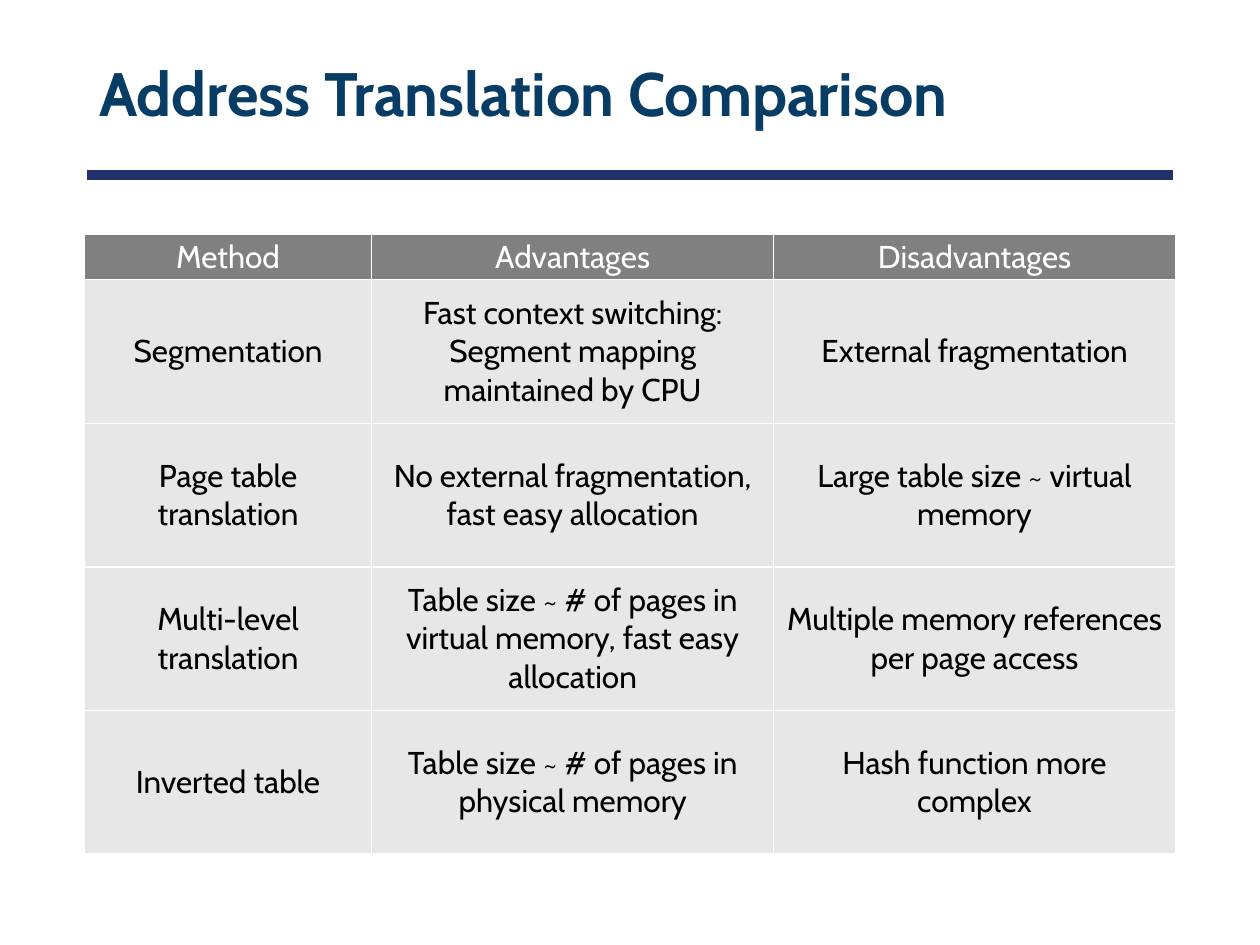
from lxml import etree
from pptx import Presentation
from pptx import util as u
from pptx.dml.color import RGBColor
from pptx.enum import shapes, text
from pptx.oxml.ns import qn

FONT = "Cabin"
COLORS = {
    "title": "073C65",
    "rule": "21306A",
    "header": "808080",
    "body": "E7E7E7",
    "white": "FFFFFF",
    "black": "000000",
}
COLUMN_WIDTHS = [2.28, 3.19, 3.19]
HEADER_HEIGHT = 0.36
ROW_HEIGHT = 1.14
ROWS = [
    ["Method", "Advantages", "Disadvantages"],
    ["Segmentation",
     "Fast context switching: Segment mapping maintained by CPU",
     "External fragmentation"],
    ["Page table translation",
     "No external fragmentation, fast easy allocation",
     "Large table size ~ virtual memory"],
    ["Multi-level translation",
     "Table size ~ # of pages in virtual memory, fast easy allocation",
     "Multiple memory references per page access"],
    ["Inverted table",
     "Table size ~ # of pages in physical memory",
     "Hash function more complex"],
]


def color(name):
    return RGBColor.from_string(COLORS[name])


def format_runs(paragraph, size, color_name, bold=False):
    for run in paragraph.runs:
        run.font.name = FONT
        run.font.size = u.Pt(size)
        run.font.bold = bold
        run.font.color.rgb = color(color_name)


def add_title(slide, title):
    shape = slide.shapes.add_textbox(u.Inches(0.69), u.Inches(0.23), u.Inches(8.62), u.Inches(1.08))
    frame = shape.text_frame
    frame.word_wrap = True
    frame.vertical_anchor = text.MSO_ANCHOR.MIDDLE
    frame.text = title
    paragraph = frame.paragraphs[0]
    paragraph.line_spacing = 0.9
    format_runs(paragraph, 35, "title", bold=True)


def add_rule(slide):
    y = u.Inches(1.39)
    connector = slide.shapes.add_connector(
        shapes.MSO_CONNECTOR.STRAIGHT, u.Inches(0.69), y, u.Inches(9.31), y)
    connector.line.color.rgb = color("rule")
    connector.line.width = u.Pt(6)
    etree.SubElement(connector.element.spPr, qn("a:effectLst"))


def set_borders(cell, color_name, width):
    properties = cell._tc.get_or_add_tcPr()
    for side in ("a:lnL", "a:lnR", "a:lnT", "a:lnB"):
        border = etree.SubElement(properties, qn(side), w=str(u.Pt(width)))
        fill = etree.SubElement(border, qn("a:solidFill"))
        etree.SubElement(fill, qn("a:srgbClr"), val=COLORS[color_name])


def fill_cell(cell, content, fill_name, font_name):
    set_borders(cell, "white", 1)
    cell.fill.solid()
    cell.fill.fore_color.rgb = color(fill_name)
    cell.vertical_anchor = text.MSO_ANCHOR.MIDDLE
    cell.margin_left = cell.margin_right = u.Inches(0.08)
    cell.margin_top = cell.margin_bottom = u.Inches(0.03)
    cell.text_frame.text = content
    paragraph = cell.text_frame.paragraphs[0]
    paragraph.alignment = text.PP_ALIGN.CENTER
    format_runs(paragraph, 18, font_name)


def add_comparison_table(slide):
    heights = [HEADER_HEIGHT] + [ROW_HEIGHT] * (len(ROWS) - 1)
    table = slide.shapes.add_table(
        len(ROWS), len(COLUMN_WIDTHS), u.Inches(0.67), u.Inches(1.86),
        u.Inches(sum(COLUMN_WIDTHS)), u.Inches(sum(heights))).table
    for column, width in zip(table.columns, COLUMN_WIDTHS):
        column.width = u.Inches(width)
    for index, (row, height, contents) in enumerate(zip(table.rows, heights, ROWS)):
        row.height = u.Inches(height)
        fill_name, font_name = ("body", "black") if index else ("header", "white")
        for cell, content in zip(row.cells, contents):
            fill_cell(cell, content, fill_name, font_name)


def main():
    presentation = Presentation()
    presentation.slide_width = u.Inches(10)
    presentation.slide_height = u.Inches(7.5)
    slide = presentation.slides.add_slide(presentation.slide_layouts[6])
    add_rule(slide)
    add_title(slide, "Address Translation Comparison")
    add_comparison_table(slide)
    presentation.save("out.pptx")


if __name__ == "__main__":
    main()
